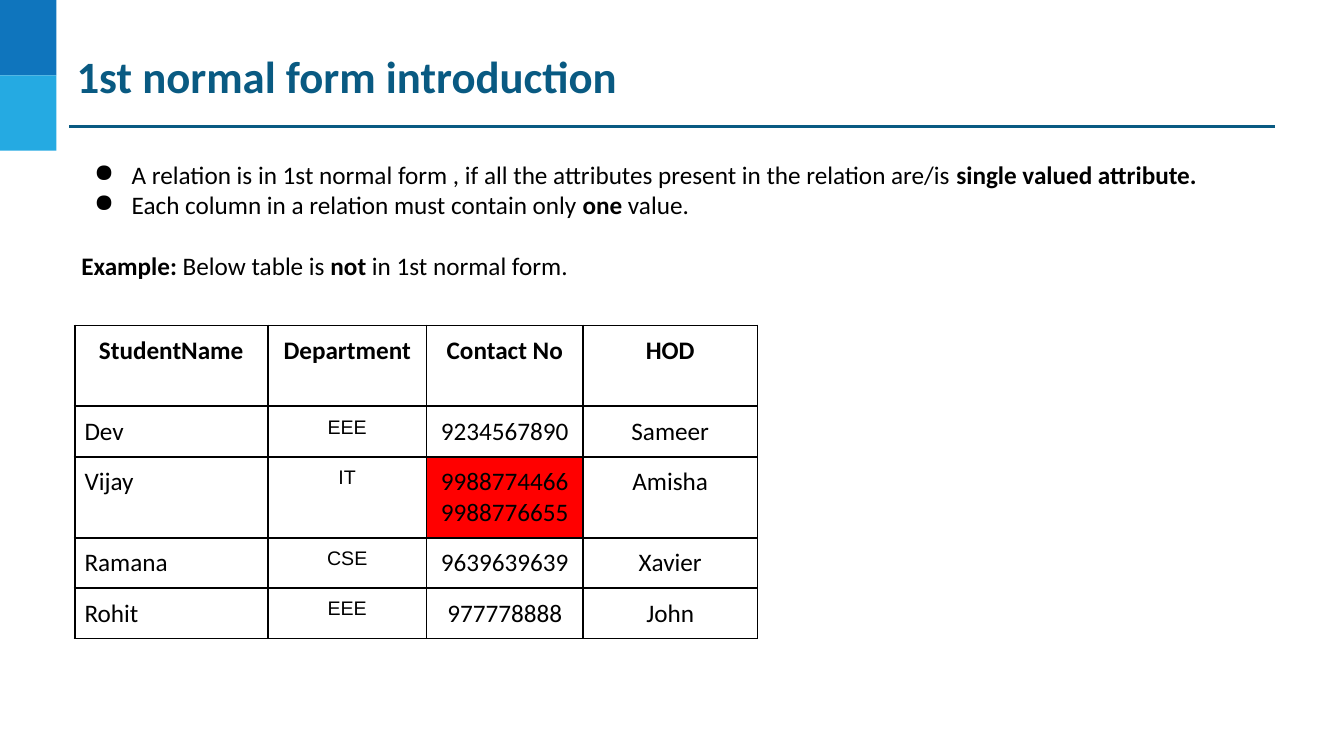
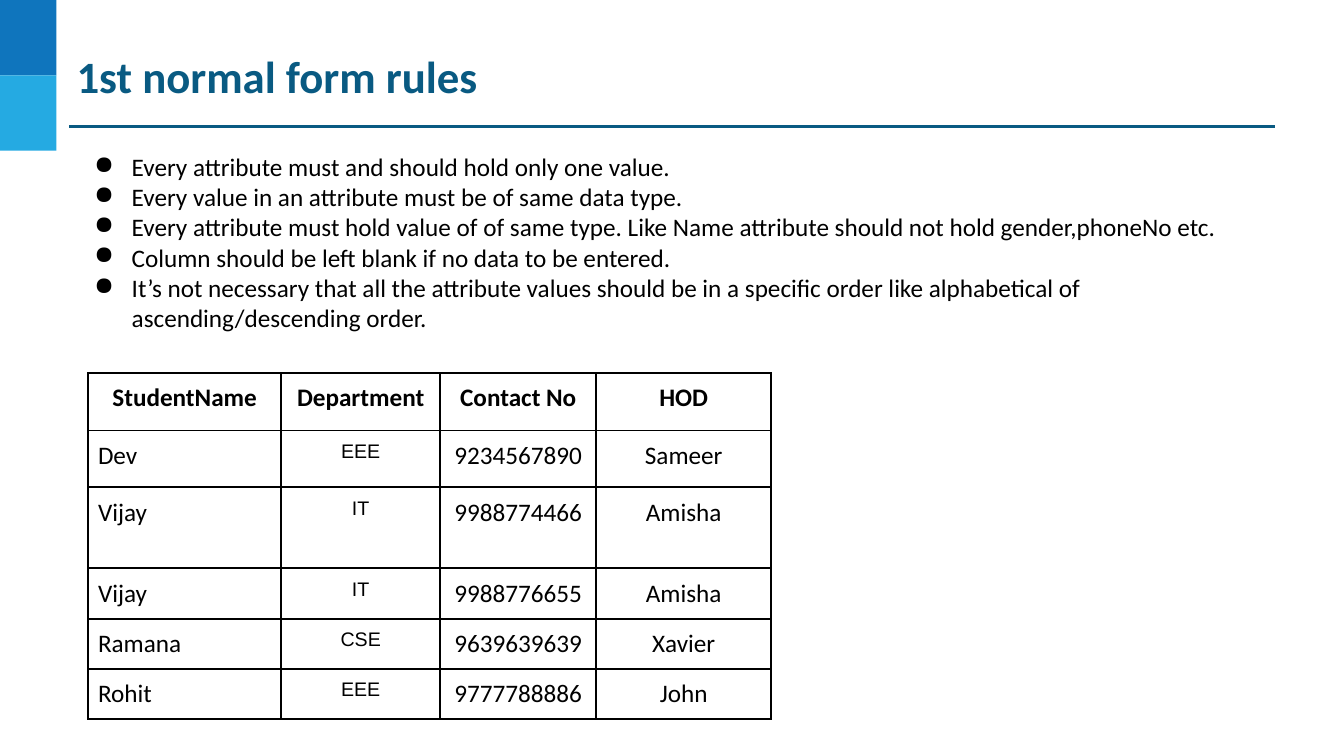
from lxml import etree
from pptx import Presentation
from pptx.dml.color import RGBColor
from pptx.enum.shapes import MSO_CONNECTOR, MSO_SHAPE
from pptx.enum.text import PP_ALIGN
from pptx.oxml.ns import qn
from pptx.util import Cm, Pt

RECTANGLE = MSO_SHAPE.RECTANGLE
STRAIGHT = MSO_CONNECTOR.STRAIGHT
LEFT, CENTER = PP_ALIGN.LEFT, PP_ALIGN.CENTER

DARK_BLUE = RGBColor(0x0F, 0x75, 0xBD)
LIGHT_BLUE = RGBColor(0x25, 0xAA, 0xE2)
TEAL = RGBColor(0x09, 0x5A, 0x82)
BLACK = RGBColor(0, 0, 0)
WHITE = RGBColor(0xFF, 0xFF, 0xFF)
RED = RGBColor(0xFF, 0, 0)

BODY_FONT = "Calibri"
DEPARTMENT_FONT = "Arial"
BAND_WIDTH, BAND_HEIGHT = 1.42, 1.9
INSET = Cm(0.25)
COLUMN_WIDTHS = [4.87, 4, 3.94, 4.4]
HEADINGS = ["StudentName", "Department", "Contact No", "HOD"]
DEPARTMENT = HEADINGS.index("Department")

SLIDES = [
    {
        "title": "1st normal form introduction",
        "body_top": 3.76,
        "body_height": 3.58,
        "bullets": [
            [("A relation is in 1st normal form , if all the attributes present in the relation are/is ", False),
             ("single valued attribute.", True)],
            [("Each column in a relation must contain only ", False), ("one ", True), ("value.", False)],
        ],
        "example": [("Example:", True), (" Below table is ", False), ("not ", True),
                    ("in 1st normal form.", False)],
        "tables": [
            (1.88, 8.2, [2.04, 1.27, 2.04, 1.27, 1.27], [
                HEADINGS,
                ["Dev", "EEE", "9234567890", "Sameer"],
                ["Vijay", "IT", "9988774466\n9988776655", "Amisha"],
                ["Ramana", "CSE", "9639639639", "Xavier"],
                ["Rohit", "EEE", "977778888", "John"],
            ]),
        ],
    },
    {
        "title": "1st normal form rules",
        "body_top": 3.56,
        "body_height": 5.4,
        "bullets": [
            [("Every attribute must and should hold only one value.", False)],
            [("Every value in an attribute must be of same data type.", False)],
            [("Every attribute must hold value of of same type. Like Name attribute should not hold "
              "gender,phoneNo etc.", False)],
            [("Column should be left blank if no data to be entered.", False)],
            [("It’s not necessary that all the attribute values should be in a specific order like "
              "alphabetical of ascending/descending order.", False)],
        ],
        "example": [],
        "tables": [
            (2.22, 9.4, [1.45, 1.43, 2.04, 1.27, 1.27], [
                HEADINGS,
                ["Dev", "EEE", "9234567890", "Sameer"],
                ["Vijay", "IT", "9988774466", "Amisha"],
                ["Vijay", "IT", "9988776655", "Amisha"],
                ["Ramana", "CSE", "9639639639", "Xavier"],
            ]),
            (2.22, 16.85, [1.27], [["Rohit", "EEE", "9777788886", "John"]]),
        ],
    },
]


def add_run(paragraph, text, size=18, bold=False, color=BLACK, font=BODY_FONT):
    run = paragraph.add_run()
    run.text = text
    run.font.name = font
    run.font.size = Pt(size)
    run.font.bold = bold
    run.font.color.rgb = color


def add_text_frame(slide, left, top, width, height, inset):
    frame = slide.shapes.add_textbox(Cm(left), Cm(top), Cm(width), Cm(height)).text_frame
    frame.word_wrap = True
    frame.margin_left = frame.margin_right = frame.margin_top = frame.margin_bottom = inset
    return frame


prs = Presentation()
prs.slide_width, prs.slide_height = Cm(33.87), Cm(19.05)
blank = prs.slide_layouts[6]

for content in SLIDES:
    slide = prs.slides.add_slide(blank)

    for position, color in enumerate([DARK_BLUE, LIGHT_BLUE]):
        band = slide.shapes.add_shape(RECTANGLE, 0, Cm(position * BAND_HEIGHT),
                                      Cm(BAND_WIDTH), Cm(BAND_HEIGHT))
        band.shadow.inherit = False
        band.fill.solid()
        band.fill.fore_color.rgb = color
        band.line.fill.background()

    title_rule = slide.shapes.add_connector(STRAIGHT, Cm(1.74), Cm(3.18), Cm(32.13), Cm(3.18))
    title_rule.line.color.rgb = TEAL
    title_rule.line.width = Pt(2.25)
    etree.SubElement(title_rule._element.spPr, qn("a:effectLst"))

    title = add_text_frame(slide, 1.88, 1.17, 30.4, 1.47, Cm(0.05))
    add_run(title.paragraphs[0], content["title"], 32, True, TEAL)

    body = add_text_frame(slide, 1.8, content["body_top"], 30.25, content["body_height"], INSET)
    for index, bullet in enumerate(content["bullets"]):
        paragraph = body.add_paragraph() if index else body.paragraphs[0]
        for text, bold in bullet:
            add_run(paragraph, text, bold=bold)
        properties = paragraph._p.get_or_add_pPr()
        properties.set("marL", str(Cm(1.27)))
        properties.set("indent", str(-Cm(0.95)))
        bullet_color = etree.SubElement(properties, qn("a:buClr"))
        etree.SubElement(bullet_color, qn("a:srgbClr"), val=str(BLACK))
        etree.SubElement(properties, qn("a:buChar"), char="●")

    if content["example"]:
        example = body.add_paragraph()
        example.space_before = Pt(22)
        for text, bold in content["example"]:
            add_run(example, text, bold=bold)

    for left, top, row_heights, records in content["tables"]:
        students = slide.shapes.add_table(len(records), len(COLUMN_WIDTHS), Cm(left), Cm(top),
                                          Cm(sum(COLUMN_WIDTHS)), Cm(sum(row_heights))).table
        students.first_row = students.horz_banding = False
        for column, width in zip(students.columns, COLUMN_WIDTHS):
            column.width = Cm(width)
        for row, height, record in zip(students.rows, row_heights, records):
            row.height = Cm(height)
            is_heading = record is HEADINGS
            for index, (cell, value) in enumerate(zip(row.cells, record)):
                cell.margin_left = cell.margin_right = cell.margin_top = cell.margin_bottom = INSET
                for side in ["a:lnL", "a:lnR", "a:lnT", "a:lnB"]:
                    border = etree.SubElement(cell._tc.get_or_add_tcPr(), qn(side), w=str(Pt(1.5)))
                    border_fill = etree.SubElement(border, qn("a:solidFill"))
                    etree.SubElement(border_fill, qn("a:srgbClr"), val=str(BLACK))
                numbers = value.split("\n")
                cell.fill.solid()
                cell.fill.fore_color.rgb = RED if len(numbers) > 1 else WHITE
                is_department = index == DEPARTMENT and not is_heading
                for line, text in enumerate(numbers):
                    frame = cell.text_frame
                    paragraph = frame.add_paragraph() if line else frame.paragraphs[0]
                    paragraph.alignment = CENTER if index or is_heading else LEFT
                    add_run(paragraph, text, 14 if is_department else 18, is_heading,
                            font=DEPARTMENT_FONT if is_department else BODY_FONT)

prs.save("out.pptx")
